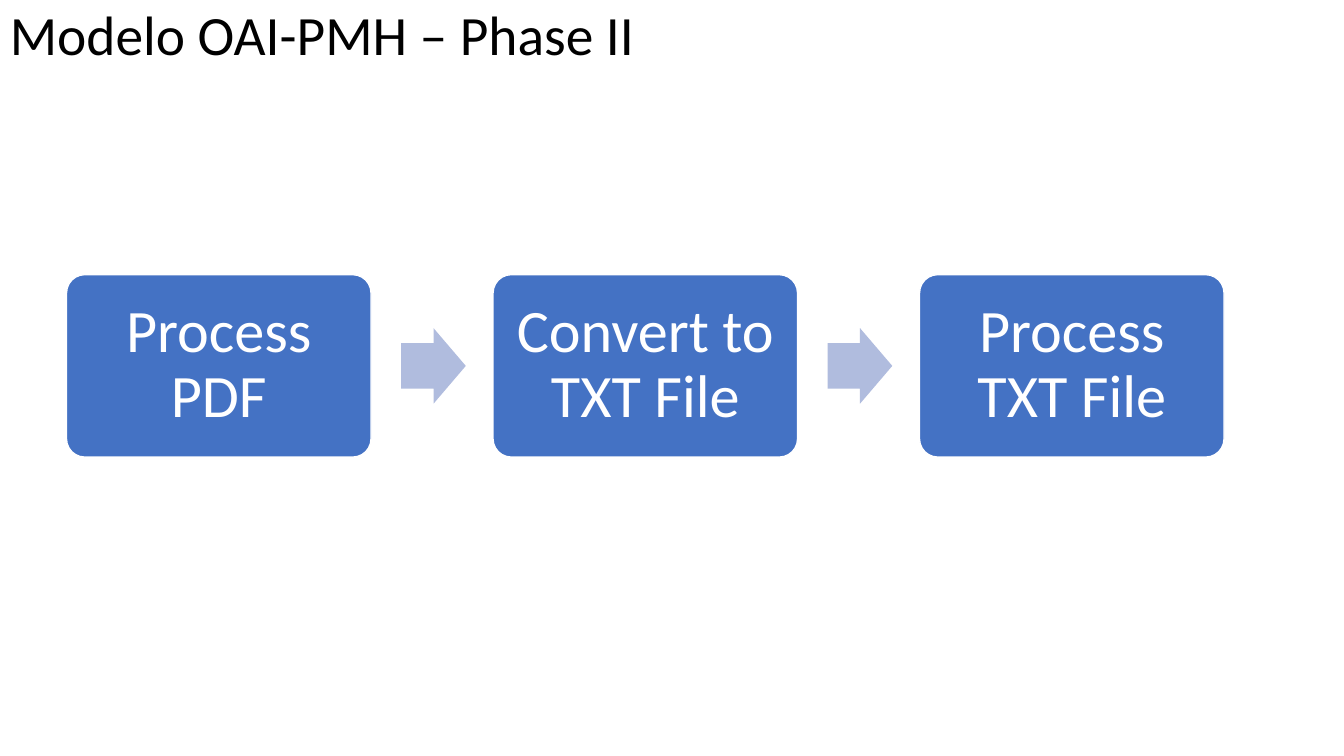
from pptx import Presentation
from pptx.dml.color import RGBColor
from pptx.enum.shapes import MSO_SHAPE
from pptx.enum.text import MSO_ANCHOR, PP_ALIGN
from pptx.util import Inches, Pt

TITLE = "Modelo OAI-PMH – Phase II"
STEPS = ["Process PDF", "Convert to TXT File", "Process TXT File"]

THEME = {
    "font": "Calibri", "title": 39.6, "step": 43,
    "ink": "000000", "paper": "FFFFFF", "box": "4472C4", "arrow": "B0BCDE",
}
WIDE, HIGH = 13.33, 7.5
LEFT, MID, PITCH = 0.66, 3.63, 4.23
BOX = (3.02, 1.81)
ARROW = (0.64, 0.75)
LEAD = 0.3


def color(name):
    return RGBColor.from_string(THEME[name])


def write(shape, text, size, ink, align, inset):
    frame = shape.text_frame
    frame.word_wrap = True
    frame.vertical_anchor = MSO_ANCHOR.MIDDLE
    frame.margin_left = frame.margin_right = Inches(inset)
    frame.margin_top = frame.margin_bottom = Inches(inset / 2)
    para = frame.paragraphs[0]
    para.alignment = align
    para.line_spacing = 0.9
    run = para.add_run()
    run.text = text
    run.font.name = THEME["font"]
    run.font.size = Pt(THEME[size])
    run.font.color.rgb = color(ink)


def block(kind, left, size, fill, adjust):
    wide, high = size
    shape = slide.shapes.add_shape(
        kind, Inches(left), Inches(MID - high / 2), Inches(wide), Inches(high))
    shape.shadow.inherit = False
    shape.fill.solid()
    shape.fill.fore_color.rgb = color(fill)
    shape.line.fill.background()
    for spot, value in enumerate(adjust):
        shape.adjustments[spot] = value
    return shape


deck = Presentation()
deck.slide_width, deck.slide_height = Inches(WIDE), Inches(HIGH)
slide = deck.slides.add_slide(deck.slide_layouts[6])

title = slide.shapes.add_textbox(0, 0, Inches(WIDE), Inches(0.74))
write(title, TITLE, "title", "ink", PP_ALIGN.LEFT, 0.1)

for col, step in enumerate(STEPS):
    left = LEFT + col * PITCH
    if col:
        block(MSO_SHAPE.RIGHT_ARROW, left - PITCH + BOX[0] + LEAD,
              ARROW, "arrow", (0.6, 0.5))
    box = block(MSO_SHAPE.ROUNDED_RECTANGLE, left, BOX, "box", (0.1,))
    box.line.color.rgb = color("paper")
    box.line.width = Pt(1)
    write(box, step, "step", "paper", PP_ALIGN.CENTER, 0.15)

deck.save("out.pptx")
